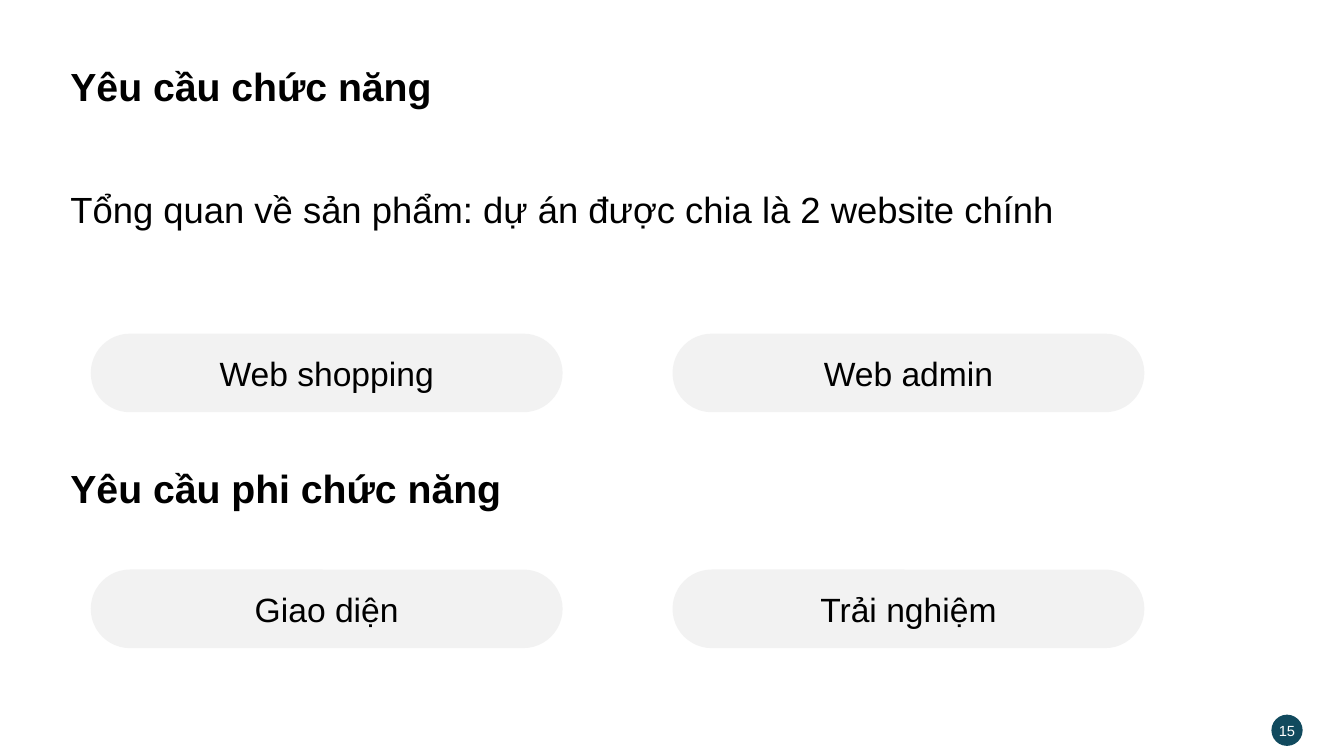
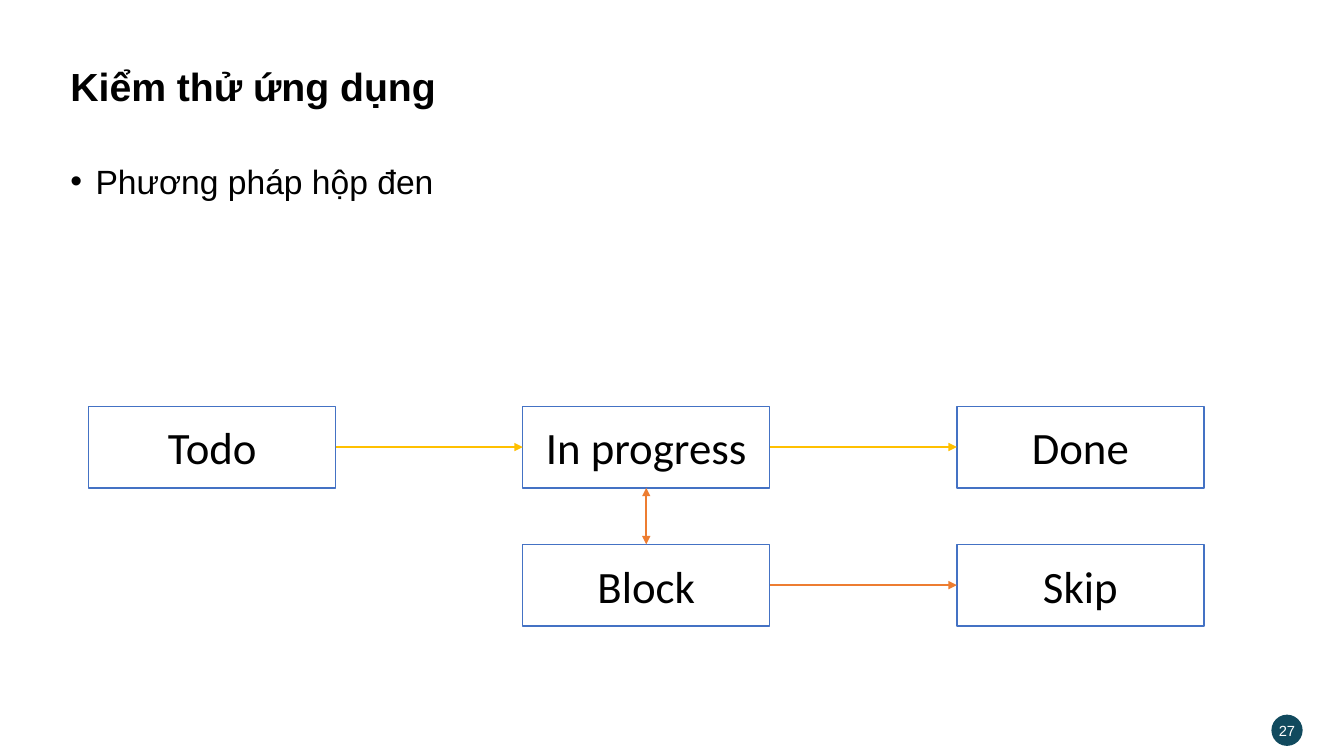
from pptx import Presentation
from pptx.dml.color import RGBColor
from pptx.enum import shapes, text
from pptx.oxml import parse_xml
from pptx.oxml.ns import nsdecls
from pptx.util import Inches, Pt

BLACK = RGBColor(0x00, 0x00, 0x00)
WHITE = RGBColor(0xFF, 0xFF, 0xFF)
GREY = RGBColor(0xF2, 0xF2, 0xF2)
TEAL = RGBColor(0x11, 0x4A, 0x5E)
BLUE = RGBColor(0x44, 0x72, 0xC4)
GOLD = RGBColor(0xFF, 0xC0, 0x00)
ORANGE = RGBColor(0xED, 0x7D, 0x31)

SHAPE = shapes.MSO_SHAPE
MIDDLE = text.MSO_ANCHOR.MIDDLE
CENTER = text.PP_ALIGN.CENTER
LEFT = text.PP_ALIGN.LEFT
TITLE = dict(size=28, bold=True, spacing=0.9)


def write(sp, content, size=24, font="Arial", color=BLACK, bold=False,
          align=LEFT, anchor=MIDDLE, spacing=1.0, margin=None, bullet=False):
    tf = sp.text_frame
    tf.word_wrap = True
    tf.vertical_anchor = anchor
    if margin is not None:
        tf.margin_left = tf.margin_right = Inches(margin)
        tf.margin_top = tf.margin_bottom = Inches(margin)
    p = tf.paragraphs[0]
    p.alignment = align
    p.line_spacing = spacing
    if bullet:
        pPr = p._p.get_or_add_pPr()
        pPr.set("marL", str(Inches(0.25)))
        pPr.set("indent", str(Inches(-0.25)))
        pPr.append(parse_xml(f'<a:buFont {nsdecls("a")} typeface="Arial"/>'))
        pPr.append(parse_xml(f'<a:buChar {nsdecls("a")} char="•"/>'))
    r = p.add_run()
    r.text = content
    r.font.name = font
    r.font.size = Pt(size)
    r.font.bold = bold
    r.font.color.rgb = color


def add_box(s, kind, left, top, width, height, fill, line=None):
    sp = s.shapes.add_shape(kind, Inches(left), Inches(top), Inches(width), Inches(height))
    sp.shadow.inherit = False
    sp.fill.solid()
    sp.fill.fore_color.rgb = fill
    if line is None:
        sp.line.fill.background()
    else:
        sp.line.color.rgb = line
        sp.line.width = Pt(1)
    return sp


prs = Presentation()
prs.slide_width = Inches(13.33)
prs.slide_height = Inches(7.5)

# Shared title and page number
slides = []
for title, number in [("Yêu cầu chức năng", "15"), ("Kiểm thử ứng dụng", "27")]:
    s = prs.slides.add_slide(prs.slide_layouts[6])
    slides.append(s)
    sp = s.shapes.add_textbox(Inches(0.6), Inches(0.4), Inches(12.13), Inches(0.96))
    write(sp, title, **TITLE)
    sp = add_box(s, SHAPE.OVAL, 12.61, 7.09, 0.31, 0.31, TEAL)
    write(sp, number, size=10.5, color=WHITE, align=CENTER, margin=0)
requirements, testing = slides

# Requirements: overview and second heading
sp = requirements.shapes.add_textbox(Inches(0.6), Inches(1.59), Inches(12.13), Inches(1.04))
write(sp, "Tổng quan về sản phẩm: dự án được chia là 2 website chính",
      size=26, spacing=1.5, anchor=text.MSO_ANCHOR.TOP)
sp = requirements.shapes.add_textbox(Inches(0.6), Inches(4.39), Inches(12.13), Inches(0.96))
write(sp, "Yêu cầu phi chức năng", **TITLE)

# Requirements: two rows of pills
for top, labels in [(3.31, ("Web shopping", "Web admin")),
                    (5.65, ("Giao diện", "Trải nghiệm"))]:
    for left, label in zip((0.9, 6.67), labels):
        sp = add_box(requirements, SHAPE.ROUNDED_RECTANGLE, left, top, 4.68, 0.78, GREY)
        sp.adjustments[0] = 0.5
        write(sp, label, align=CENTER, margin=0)

# Testing: method
sp = testing.shapes.add_textbox(Inches(0.6), Inches(1.59), Inches(12.13), Inches(0.81))
write(sp, "Phương pháp hộp đen", spacing=0.9, bullet=True, anchor=text.MSO_ANCHOR.TOP)

# Testing: states on a grid of three columns and two rows
states = {}
for label, col, row in [("Todo", 0, 0), ("In progress", 1, 0), ("Done", 2, 0),
                        ("Block", 1, 1), ("Skip", 2, 1)]:
    sp = add_box(testing, SHAPE.RECTANGLE, 0.88 + 4.305 * col, 4.03 + 1.37 * row,
                 2.45, 0.81, WHITE, BLUE)
    write(sp, label, size=32, font="Calibri", align=CENTER)
    states[label] = sp

# Testing: transitions between connection sites
for start, start_site, end, end_site, color, ends in [
        ("Todo", 3, "In progress", 1, GOLD, ["tailEnd"]),
        ("In progress", 3, "Done", 1, GOLD, ["tailEnd"]),
        ("In progress", 2, "Block", 0, ORANGE, ["headEnd", "tailEnd"]),
        ("Block", 3, "Skip", 1, ORANGE, ["tailEnd"])]:
    arrow = testing.shapes.add_connector(shapes.MSO_CONNECTOR.STRAIGHT, 0, 0, 0, 0)
    arrow.begin_connect(states[start], start_site)
    arrow.end_connect(states[end], end_site)
    arrow.line.color.rgb = color
    arrow.line.width = Pt(1.5)
    ln = arrow.line._get_or_add_ln()
    for tag in ends:
        ln.append(parse_xml(f'<a:{tag} {nsdecls("a")} type="triangle"/>'))
    arrow._element.spPr.append(parse_xml(f'<a:effectLst {nsdecls("a")}/>'))

prs.save("out.pptx")
